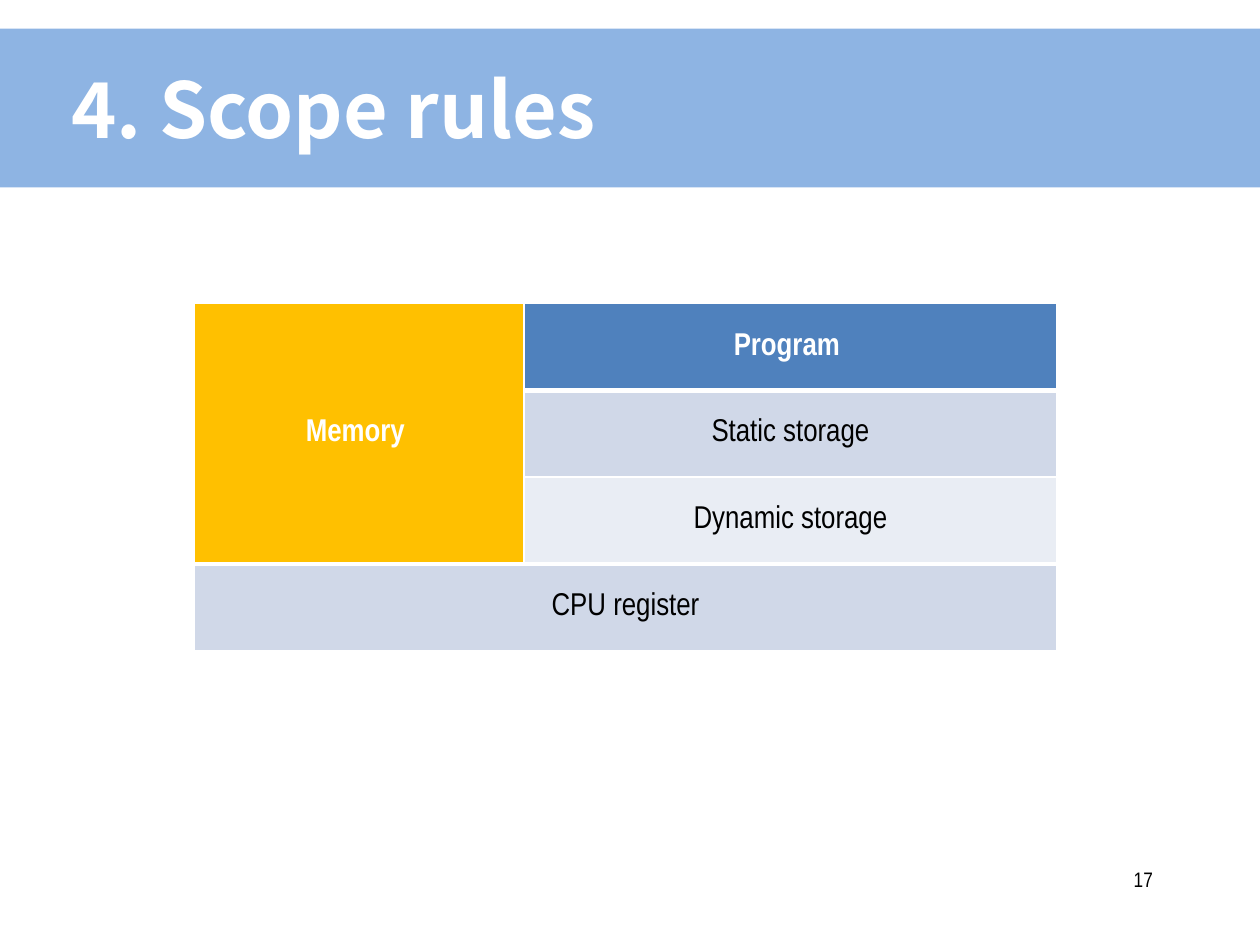
from dataclasses import dataclass

from lxml.etree import SubElement
from pptx import Presentation
from pptx.dml.color import RGBColor
from pptx.enum.shapes import MSO_SHAPE
from pptx.enum.text import MSO_ANCHOR, PP_ALIGN
from pptx.oxml.ns import qn
from pptx.util import Cm, Pt


@dataclass(frozen=True)
class Theme:
    white: str = "FFFFFF"
    black: str = "000000"
    band: str = "8EB4E3"
    memory: str = "FFC000"
    program: str = "4F81BD"
    row_dark: str = "D0D8E8"
    row_light: str = "E9EDF4"
    title_font: str = "Noto Sans CJK SC"
    body_font: str = "Arial Narrow"
    title_size: int = 44
    table_size: int = 18
    number_size: int = 12
    thin: int = 1
    thick: int = 3


THEME = Theme()


def write_text(frame, text, *, size, color, font=THEME.body_font, bold=False,
               align=PP_ALIGN.LEFT):
    para = frame.paragraphs[0]
    para.alignment = align
    span = para.add_run()
    span.text = text
    span.font.size = Pt(size)
    span.font.bold = bold
    span.font.color.rgb = RGBColor.from_string(color)
    span.font.name = font
    # East Asian typeface follows the Latin one
    SubElement(span.font._element, qn("a:ea")).set("typeface", font)


def add_band(page, top, width, height):
    band = page.shapes.add_shape(MSO_SHAPE.RECTANGLE, 0, top, width, height)
    band.shadow.inherit = False
    band.fill.solid()
    band.fill.fore_color.rgb = RGBColor.from_string(THEME.band)
    band.line.fill.background()


def add_text_box(page, text, left, top, width, height, *,
                 anchor=MSO_ANCHOR.TOP, **text_format):
    box = page.shapes.add_textbox(left, top, width, height)
    frame = box.text_frame
    frame.word_wrap = True
    frame.vertical_anchor = anchor
    write_text(frame, text, **text_format)


def set_borders(cell, **widths):
    properties = cell._tc.get_or_add_tcPr()
    for side in ("L", "R", "T", "B"):
        line = SubElement(properties, qn(f"a:ln{side}"))
        line.set("w", str(Pt(widths.get(side, THEME.thin))))
        fill = SubElement(line, qn("a:solidFill"))
        SubElement(fill, qn("a:srgbClr")).set("val", THEME.white)


def format_cell(cell, text, fill, *, header=False, **borders):
    # Border lines come before the fill in the cell properties
    set_borders(cell, **borders)
    cell.fill.solid()
    cell.fill.fore_color.rgb = RGBColor.from_string(fill)
    cell.vertical_anchor = MSO_ANCHOR.MIDDLE
    write_text(cell.text_frame, text, size=THEME.table_size, bold=header,
               color=THEME.white if header else THEME.black,
               align=PP_ALIGN.CENTER)


def add_memory_table(page):
    column_widths = (Cm(6.65), Cm(10.75))
    row_height, row_count = Cm(1.75), 4
    table = page.shapes.add_table(
        row_count, len(column_widths), Cm(3.91), Cm(6.12),
        sum(column_widths), row_height * row_count).table
    for column, width in zip(table.columns, column_widths):
        column.width = width
    for row in table.rows:
        row.height = row_height

    # Memory covers three storage areas; the register row is full width
    table.cell(0, 0).merge(table.cell(2, 0))
    table.cell(3, 0).merge(table.cell(3, 1))
    thick = THEME.thick
    format_cell(table.cell(0, 0), "Memory ", THEME.memory, header=True, B=thick)
    format_cell(table.cell(0, 1), "Program ", THEME.program, header=True, B=thick)
    format_cell(table.cell(1, 1), "Static storage", THEME.row_dark, T=thick)
    format_cell(table.cell(2, 1), "Dynamic storage", THEME.row_light, B=thick)
    format_cell(table.cell(3, 0), "CPU register", THEME.row_dark, T=thick)


def main():
    deck = Presentation()
    deck.slide_width, deck.slide_height = Cm(25.4), Cm(19.05)
    page = deck.slides.add_slide(deck.slide_layouts[6])

    # Heading
    add_band(page, Cm(0.58), deck.slide_width, Cm(3.2))
    add_text_box(page, "4. Scope rules", Cm(1.19), Cm(0.58), Cm(21.6), Cm(3.18),
                 anchor=MSO_ANCHOR.MIDDLE, size=THEME.title_size,
                 color=THEME.white, font=THEME.title_font, bold=True)

    # Storage areas
    add_memory_table(page)

    # Page number
    add_text_box(page, "17", Cm(21.51), Cm(17.35), Cm(1.98), Cm(1.27),
                 size=THEME.number_size, color=THEME.black,
                 align=PP_ALIGN.RIGHT)

    deck.save("out.pptx")


main()
